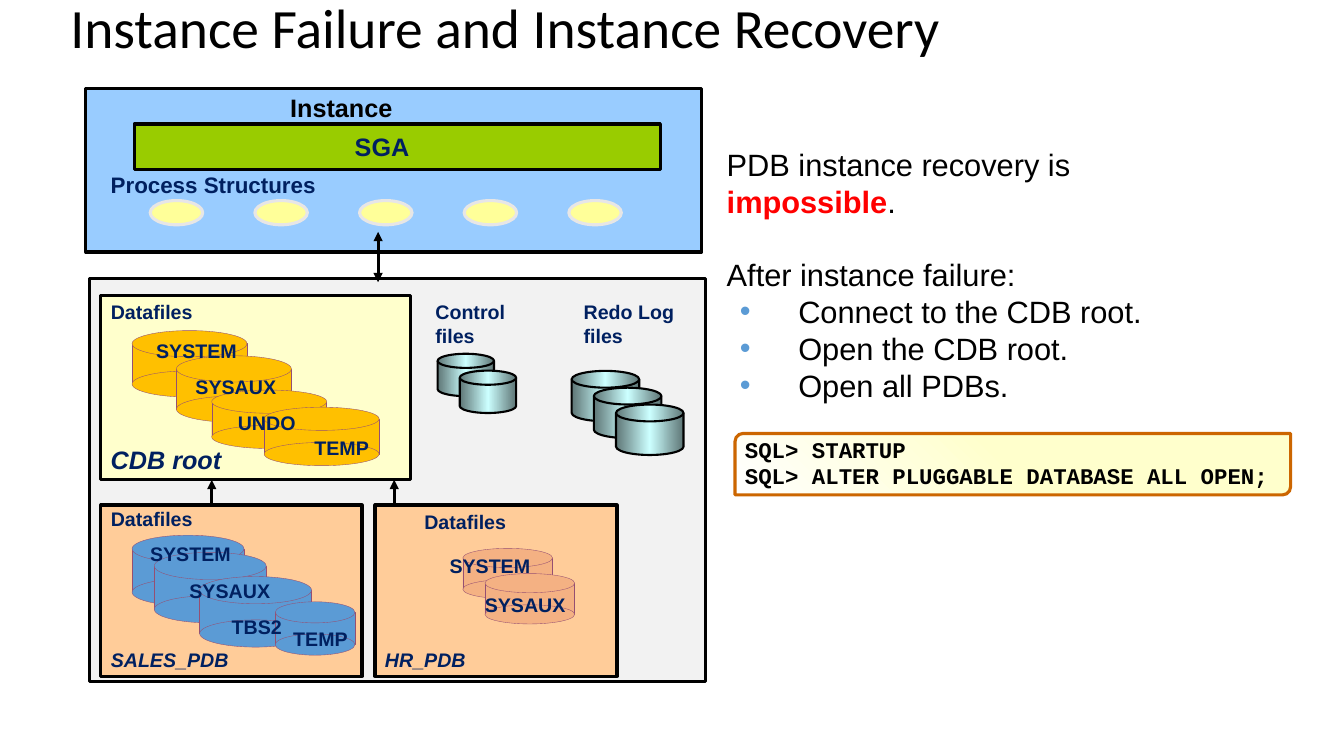
from pptx import Presentation
from pptx.dml.color import RGBColor
from pptx.enum.shapes import MSO_CONNECTOR, MSO_SHAPE
from pptx.enum.text import MSO_ANCHOR
from pptx.oxml import parse_xml
from pptx.oxml.ns import nsdecls
from pptx.util import Inches, Pt
from lxml.etree import SubElement

C = {"black": "000000", "navy": "002060", "red": "FF0000", "gray": "F2F2F2",
     "cream": "FFFFCC", "peach": "FFCC99", "sky": "99CCFF", "green": "99CC00",
     "gold": "FFC000", "blue": "5B9BD5", "salmon": "F4B183", "plum": "954F72",
     "lemon": "FFFF99", "silver": "E7E6E6", "rust": "CC6600",
     "teal": "5E7676", "ice": "CCFFFF", "white": "FFFFFF"}

prs = Presentation()
prs.slide_width, prs.slide_height = Inches(13.33), Inches(7.5)
s = prs.slides.add_slide(prs.slide_layouts[6])
U = prs.slide_height / 75  # square grid cell: 75 rows on the slide


def box(kind, x, y, w, h, fill, line="black", pt=2.25, angle=0):
    """Preset shape on the grid; a tuple as fill makes a gradient."""
    sp = s.shapes.add_shape(kind, *(round(v * U) for v in (x, y, w, h)))
    sp.shadow.inherit = False
    if isinstance(fill, tuple):
        stops = "".join(f'<a:gs pos="{i * 50000}"><a:srgbClr val="{C[c]}"/></a:gs>'
                        for i, c in enumerate(fill))
        sp.element.spPr.insert(2, parse_xml(
            f'<a:gradFill {nsdecls("a")}><a:gsLst>{stops}</a:gsLst>'
            f'<a:lin ang="{angle * 60000}" scaled="0"/></a:gradFill>'))
    else:
        sp.fill.solid()
        sp.fill.fore_color.rgb = RGBColor.from_string(C[fill])
    sp.line.color.rgb = RGBColor.from_string(C[line])
    sp.line.width = Pt(pt)
    return sp


def label(text, x, y, w, h, size=14, color="navy", bold=True, italic=False,
          font="Arial", spacing=1.0, anchor=MSO_ANCHOR.TOP):
    """Text box on the grid, one paragraph for each line of text."""
    tf = s.shapes.add_textbox(*(round(v * U) for v in (x, y, w, h))).text_frame
    tf.word_wrap = True
    tf.vertical_anchor = anchor
    tf.text = text
    for p in tf.paragraphs:
        p.line_spacing = spacing
        p.font.name, p.font.size = font, Pt(size)
        p.font.bold, p.font.italic = bold, italic
        p.font.color.rgb = RGBColor.from_string(C[color])
    return tf


# Title
label("Instance Failure and Instance Recovery", 6, 0.8, 108.7, 4.5, 39.6, "black",
      False, font="Calibri", spacing=0.9, anchor=MSO_ANCHOR.MIDDLE)

# Database frame and the arrows joining its parts
box(MSO_SHAPE.RECTANGLE, 8.9, 27.6, 61.1, 40, "gray")
for x, y1, y2, ends in ((21, 50.6, 47.6, ["tailEnd"]), (39.1, 50.6, 47.6, ["tailEnd"]),
                        (37.5, 23, 28, ["headEnd", "tailEnd"])):
    cx = s.shapes.add_connector(MSO_CONNECTOR.STRAIGHT,
                                *(round(v * U) for v in (x, y1, x, y2)))
    cx.line.color.rgb = RGBColor.from_string(C["black"])
    cx.line.width = Pt(2.25)
    ln = cx.line._get_or_add_ln()
    for end in ends:
        SubElement(ln, ln.tag.replace("}ln", "}" + end), type="triangle")
    SubElement(cx.element.spPr, ln.tag.replace("}ln", "}effectLst"))
instance_arrow = cx

# Instance: memory and processes
box(MSO_SHAPE.RECTANGLE, 8.5, 8.8, 61.1, 16.2, "sky")
box(MSO_SHAPE.RECTANGLE, 13.3, 12.3, 52.2, 4.5, "green")
label("Instance", 27.8, 9.2, 18.9, 3.4, 18, "black", spacing=0.8)
label("SGA", 34.2, 13.1, 13.3, 3.4, 18, spacing=0.8)
label("Process Structures", 10, 17, 33.3, 3.2, 16, spacing=0.8)
for i in range(5):
    box(MSO_SHAPE.OVAL, 14.9 + 10.38 * i, 19.9, 5.2, 2.4, "lemon", "silver")
s.shapes._spTree.append(instance_arrow.element)  # arrow in front of the instance

# Containers
for name, x, y, w, h, fill, size in (("CDB root", 10, 29.3, 30.7, 18.3, "cream", 18),
                                     ("SALES_PDB", 10, 50.1, 25.9, 17, "peach", 14),
                                     ("HR_PDB", 37.2, 50.1, 24, 17, "peach", 14)):
    box(MSO_SHAPE.RECTANGLE, x, y, w, h, fill)
    label(name, x, y, w, h, size, italic=True, spacing=0.85, anchor=MSO_ANCHOR.BOTTOM)
for x, y in ((10, 29.3), (10, 49.8), (41.1, 50.1)):
    label("Datafiles", x, y, 17.8, 3.4)

# Control and redo log files
for text, x, w, disk_x, disk_y, disk_w, disk_h, n in (
        ("Control\nfiles", 42.2, 14, 43.4, 35.1, 5.6, 4.2, 2),
        ("Redo Log\nfiles", 56.9, 15.2, 56.7, 36.8, 6.7, 5, 3)):
    label(text, x, 29.3, w, 5.7)
    for i in range(n):
        box(MSO_SHAPE.FLOWCHART_MAGNETIC_DISK, disk_x + 2.2 * i, disk_y + 1.67 * i,
            disk_w, disk_h, ("teal", "ice", "teal"), pt=1.5)

# Datafile cylinders: left, top, width, body height, cap height
cylinders = {
    "gold": [(13.1, 32.8, 11.4, 4, 2.6), (17.5, 35.3, 11.4, 4, 2.6),
             (21, 38.7, 11.4, 3.5, 2.3), (26.2, 40.4, 11.4, 3.5, 2.3)],
    "blue": [(13.1, 53.1, 11.1, 4.3, 2.7), (15.3, 54.8, 11.1, 4.3, 2.7),
             (19.8, 57.2, 11.1, 4.3, 2.7), (27.3, 59.7, 7.9, 3.2, 2.1)],
    "salmon": [(45.9, 54.4, 8.9, 3.1, 1.9), (48.1, 56.9, 8.9, 3.1, 1.9)]}
for fill, group in cylinders.items():
    for x, y, w, body, cap in group:
        box(MSO_SHAPE.RECTANGLE, x, y + cap / 2, w, body, fill, "plum", 0.25)
        for top in (y, y + body):
            box(MSO_SHAPE.OVAL, x, top, w, cap, fill, "plum", 0.25)
for name, x, y in (("SYSTEM", 14.5, 33.1), ("SYSAUX", 18.4, 36.7),
                   ("UNDO", 22.6, 40.3), ("TEMP", 30.2, 42.8),
                   ("SYSTEM", 13.9, 53.3), ("SYSAUX", 17.8, 56.9),
                   ("TBS2", 22, 60.5), ("TEMP", 28.1, 61.7),
                   ("SYSTEM", 43.6, 54.5), ("SYSAUX", 47.1, 58.3)):
    label(name, x, y, 12.8, 3.4)

# Recovery notes
tf = label("PDB instance recovery is \nAfter instance failure:\nConnect to the CDB root.\n"
           "Open the CDB root.\nOpen all PDBs.", 71.1, 14, 53.3, 26.9, 22, "black", False)
first, after, *steps = tf.paragraphs
r = first.add_run()
r.text = "impossible"
r.font.bold = True
r.font.color.rgb = RGBColor.from_string(C["red"])
first.add_run().text = "."
after.space_before = Pt(25.3)
for p in steps:
    pPr = p._p.get_or_add_pPr()
    pPr.set("marL", str(Inches(0.71)))
    pPr.set("indent", str(-Inches(0.58)))
    for xml in (f'<a:buClr {nsdecls("a")}><a:srgbClr val="{C["blue"]}"/></a:buClr>',
                f'<a:buFont {nsdecls("a")} typeface="Arial"/>',
                f'<a:buChar {nsdecls("a")} char="•"/>'):
        pPr.insert_element_before(parse_xml(xml), "a:tabLst", "a:defRPr", "a:extLst")

# Commands
sp = box(MSO_SHAPE.ROUND_2_DIAG_RECTANGLE, 72.9, 43, 55.1, 6.1,
         ("cream", "cream", "white"), "rust", angle=135)
sp.adjustments[0], sp.adjustments[1] = 0.13, 0
tf = label("SQL> STARTUP\nSQL> ALTER PLUGGABLE DATABASE ALL OPEN;", 72.9, 43, 55.1, 6.1,
           16, "black", font="Courier New", spacing=0.98)
tf.margin_top, tf.margin_right, tf.margin_bottom = Inches(0.04), Inches(0.01), 0

prs.save("out.pptx")
